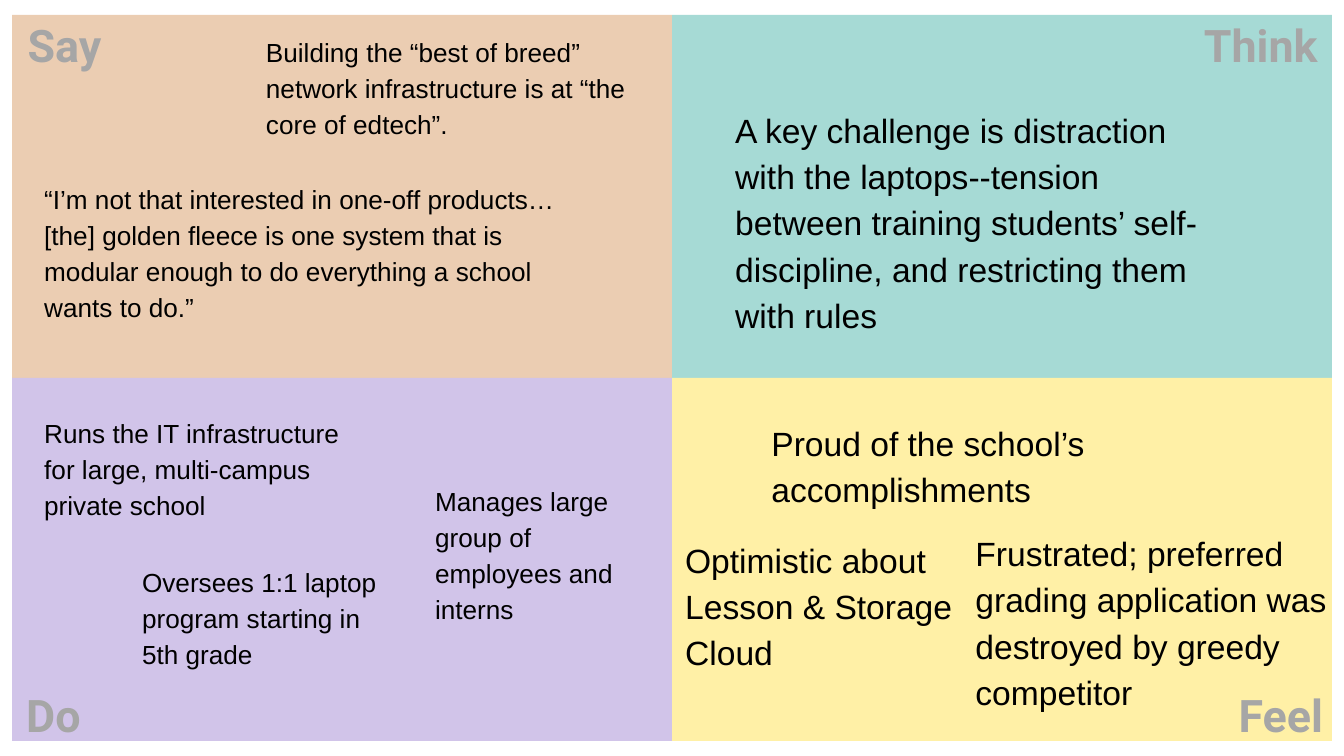
from lxml.etree import SubElement
from pptx import Presentation
from pptx.dml.color import RGBColor as RGB
from pptx.enum.shapes import MSO_SHAPE as Kind
from pptx.enum.text import PP_ALIGN as Align
from pptx.oxml.ns import qn
from pptx.util import Pt

HUES = {
    "say": "C77025",
    "think": "009688",
    "do": "7E57C2",
    "feel": "FFD600",
    "veil": "FFFFFF",
    "ink": "000000",
}

deck = Presentation()
deck.slide_width, deck.slide_height = Pt(720), Pt(405)
slide = deck.slides.add_slide(deck.slide_layouts[6])


def add_rect(box, hue):
    rect = slide.shapes.add_shape(Kind.RECTANGLE, *map(Pt, box))
    rect.shadow.inherit = False
    rect.fill.solid()
    rect.fill.fore_color.rgb = RGB.from_string(HUES[hue])
    rect.line.fill.background()
    return rect


def add_text(box, text, face, size):
    frame = slide.shapes.add_textbox(*map(Pt, box)).text_frame
    frame.word_wrap = True
    frame.margin_left = frame.margin_right = Pt(7.2)
    frame.margin_top = frame.margin_bottom = Pt(7.2)
    para = frame.paragraphs[0]
    para.text = text
    para.font.name = face
    para.font.size = Pt(size)
    para.font.color.rgb = RGB.from_string(HUES["ink"])
    return para


left, top, mid, half, wide, tall = 6.5, 8, 360, 202.5, 353.5, 389
for hue, x, y in [
    ("say", left, top),
    ("think", mid, top),
    ("do", left, half),
    ("feel", mid, half),
]:
    add_rect((x, y, wide, top + tall - y), hue)

for name, x, y, width in [
    ("Say", -10, 2.3, 89.3),
    ("Think", 624.3, 2.3, 102.2),
    ("Do", -16, 361, 89.3),
    ("Feel", 641.5, 361, 89.3),
]:
    label = add_text((x, y, width, 42.5), name, "Roboto", 24)
    label.alignment = Align.CENTER
    label.font.bold = True

veil = add_rect((2.2, 2.2, 715, 400.3), "veil")
tint = veil.fill._xPr.find(qn("a:solidFill"))[0]
SubElement(tint, qn("a:alpha")).set("val", "65000")

notes = [
    (16.6, 213.8, 188, 50.4, 14,
     "Runs the IT infrastructure for large, multi-campus private school"),
    (386.8, 48.2, 275, 61.2, 18,
     "A key challenge is distraction with the laptops--tension between "
     "training students’ self-discipline, and restricting them with rules"),
    (515.5, 275, 204.5, 94.3, 18,
     "Frustrated; preferred grading application was destroyed by greedy "
     "competitor"),
    (135.4, 10, 218.2, 61.2, 14,
     "Building the “best of breed” network infrastructure is at “the core "
     "of edtech”."),
    (16.6, 88.5, 292.3, 75.6, 14,
     "“I’m not that interested in one-off products… [the] golden fleece is "
     "one system that is modular enough to do everything a school wants to "
     "do.”"),
    (360, 278.6, 204.5, 50.4, 18,
     "Optimistic about Lesson & Storage Cloud"),
    (406.2, 216, 271.4, 50.4, 18,
     "Proud of the school’s accomplishments"),
    (226, 250.4, 128.2, 50.4, 14,
     "Manages large group of employees and interns"),
    (69, 293.8, 142.6, 50.4, 14,
     "Oversees 1:1 laptop program starting in 5th grade"),
]
for *box, size, text in notes:
    add_text(box, text, "Arial", size).line_spacing = 1.15

deck.save("out.pptx")
